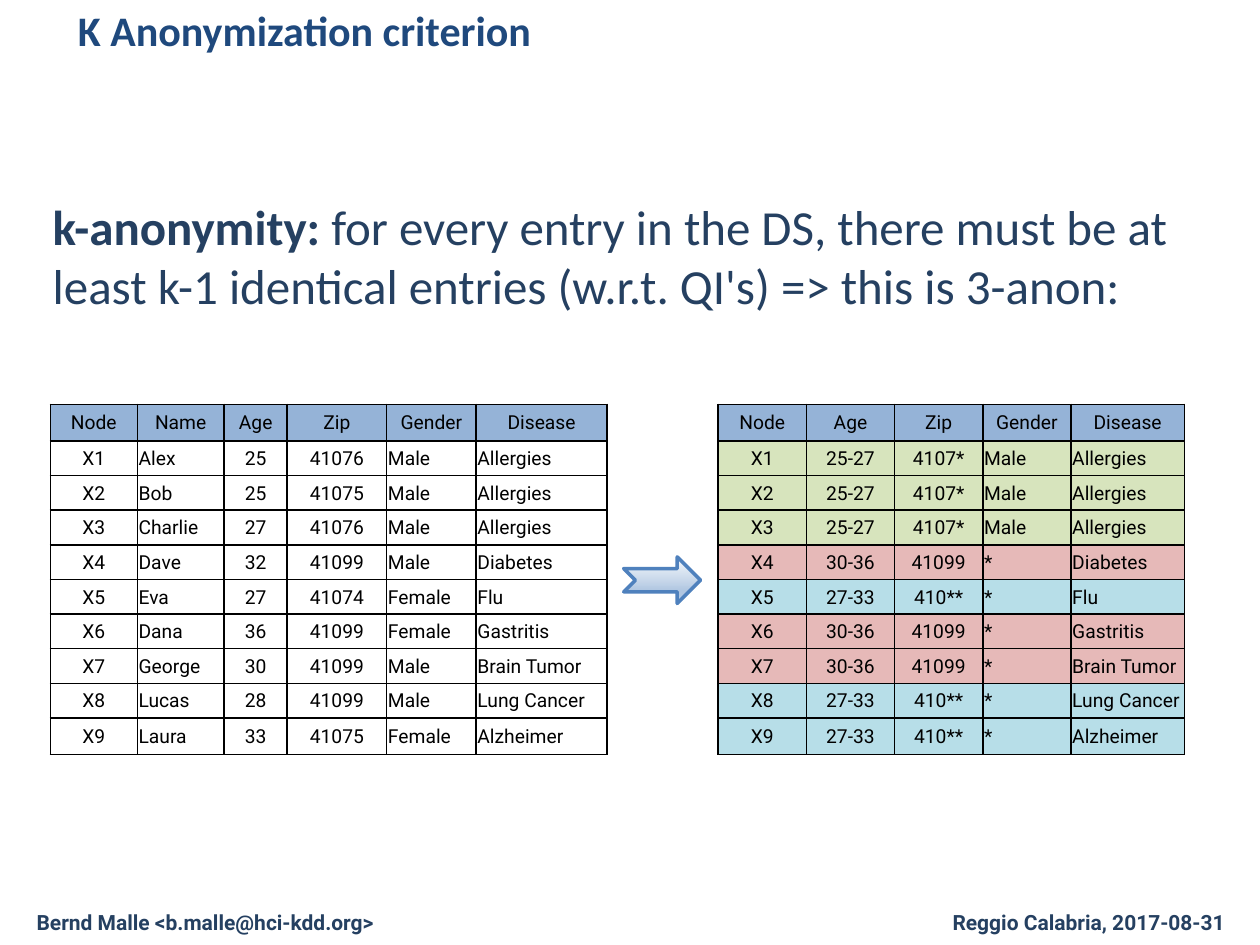
from copy import deepcopy

from lxml.etree import SubElement
from pptx import Presentation
from pptx.dml.color import RGBColor
from pptx.enum.shapes import MSO_SHAPE
from pptx.enum.text import MSO_ANCHOR, PP_ALIGN
from pptx.oxml.ns import qn
from pptx.util import Inches, Pt

COLORS = {
    "title": "1F497D", "navy": "254061", "black": "000000", "header": "95B3D7",
    "green": "D7E4BD", "red": "E6B9B8", "blue": "B7DEE8", "arrow line": "4F81BD",
}
ARROW_STOPS = [(0, "F6F9FC"), (0.74, "B0C6E1"), (0.83, "B0C6E1"), (1, "CAD9EB")]

# position, inset, wrap, font, size, color, runs as (text, bold)
TEXTS = [
    ((0.24, 7.17, 3.02, 0.3), 0.05, False, "Roboto", 12, "navy",
     [("Bernd Malle <b.malle@hci-kdd.org>", True)]),
    ((7.51, 7.17, 2.28, 0.3), 0.05, False, "Roboto", 12, "navy",
     [("Reggio Calabria, 2017-08-31", True)]),
    ((0.52, -0.01, 8.02, 0.47), 0.1, True, "Calibri", 24, "title",
     [("K Anonymization criterion", True)]),
    ((0.32, 1.51, 9.5, 1.18), 0.1, True, "Calibri", 28, "navy",
     [("k-anonymity: ", True),
      ("for every entry in the DS, there must be at least k-1 identical "
       "entries (w.r.t. QI's) => this is 3-anon:", False)]),
]

PEOPLE = [
    ("Node", "Name", "Age", "Zip", "Gender", "Disease"),
    ("X1", "Alex", "25", "41076", "Male", "Allergies"),
    ("X2", "Bob", "25", "41075", "Male", "Allergies"),
    ("X3", "Charlie", "27", "41076", "Male", "Allergies"),
    ("X4", "Dave", "32", "41099", "Male", "Diabetes"),
    ("X5", "Eva", "27", "41074", "Female", "Flu"),
    ("X6", "Dana", "36", "41099", "Female", "Gastritis"),
    ("X7", "George", "30", "41099", "Male", "Brain Tumor"),
    ("X8", "Lucas", "28", "41099", "Male", "Lung Cancer"),
    ("X9", "Laura", "33", "41075", "Female", "Alzheimer"),
]
GROUPS = {
    "green": ("25-27", "4107*", "Male"),
    "red": ("30-36", "41099", "*"),
    "blue": ("27-33", "410**", "*"),
}
MEMBERS = ["green"] * 3 + ["red", "blue", "red", "red", "blue", "blue"]
ANONYMIZED = [("Node", "Age", "Zip", "Gender", "Disease")] + [
    (person[0], *GROUPS[group], person[-1])
    for person, group in zip(PEOPLE[1:], MEMBERS)
]
LEFT_ALIGNED = {"Name", "Gender", "Disease"}
TABLE_TOP, END_ROW, INNER_ROW = 3.21, 0.29, 0.275


def rgb(name):
    """Return the named color."""
    return RGBColor.from_string(COLORS[name])


def add_span(para, text, font, size, color, bold=False):
    """Add one formatted run."""
    span = para.add_run()
    span.text = text
    span.font.name, span.font.size, span.font.bold = font, Pt(size), bold
    span.font.color.rgb = rgb(color)


def add_text(page, position, inset, wrap, font, size, color, spans):
    """Add a text box holding one paragraph."""
    frame = page.shapes.add_textbox(*map(Inches, position)).text_frame
    frame.word_wrap = wrap
    frame.margin_left = frame.margin_right = Inches(inset)
    frame.margin_top = frame.margin_bottom = Inches(0.05)
    for text, bold in spans:
        add_span(frame.paragraphs[0], text, font, size, color, bold)


def add_borders(cell):
    """Draw a thin black line on every side of a cell."""
    properties = cell._tc.get_or_add_tcPr()
    for side in ("a:lnL", "a:lnR", "a:lnT", "a:lnB"):
        line = SubElement(properties, qn(side), w=str(Pt(1)))
        fill = SubElement(line, qn("a:solidFill"))
        SubElement(fill, qn("a:srgbClr"), val=COLORS["black"])


def fill_cell(cell, text, centered, color):
    """Write and format one table cell."""
    cell.margin_left = cell.margin_right = cell.margin_top = Inches(0.01)
    cell.margin_bottom = 0
    cell.vertical_anchor = MSO_ANCHOR.MIDDLE
    add_borders(cell)
    if color:
        cell.fill.solid()
        cell.fill.fore_color.rgb = rgb(color)
    else:
        cell.fill.background()
    para = cell.text_frame.paragraphs[0]
    para.alignment = PP_ALIGN.CENTER if centered else PP_ALIGN.LEFT
    add_span(para, text, "Roboto", 11, "black")


def add_records(page, left, widths, records, row_colors):
    """Add a table of records with one color per row."""
    heights = [END_ROW] + [INNER_ROW] * (len(records) - 2) + [END_ROW]
    table = page.shapes.add_table(
        len(records), len(widths), Inches(left), Inches(TABLE_TOP),
        Inches(sum(widths)), Inches(sum(heights))).table
    table.first_row = table.horz_banding = False
    for column, width in zip(table.columns, widths):
        column.width = Inches(width)
    for index, (record, color) in enumerate(zip(records, row_colors)):
        table.rows[index].height = Inches(heights[index])
        for cell, text, heading in zip(table.rows[index].cells, record, records[0]):
            centered = index == 0 or heading not in LEFT_ALIGNED
            fill_cell(cell, text, centered, color)


def add_arrow(page):
    """Add the gradient arrow between the tables."""
    arrow = page.shapes.add_shape(
        MSO_SHAPE.NOTCHED_RIGHT_ARROW, *map(Inches, (4.95, 4.42, 0.61, 0.37)))
    arrow.shadow.inherit = False
    arrow.line.color.rgb = rgb("arrow line")
    arrow.line.width = Pt(2)
    arrow.fill.gradient()
    arrow.fill.gradient_angle = 270
    stop_list = arrow._element.spPr.find(".//" + qn("a:gsLst"))
    for stop in list(stop_list):
        stop_list.append(deepcopy(stop))
    for stop, (position, color) in zip(arrow.fill.gradient_stops, ARROW_STOPS):
        stop.position = position
        stop.color.rgb = RGBColor.from_string(color)


def main():
    """Build and save the slide."""
    deck = Presentation()
    deck.slide_width, deck.slide_height = Inches(10), Inches(7.5)
    page = deck.slides.add_slide(deck.slide_layouts[6])
    for text in TEXTS:
        add_text(page, *text)
    add_records(page, 0.4, [0.69, 0.69, 0.5, 0.79, 0.71, 1.04], PEOPLE,
                ["header"] + [None] * len(MEMBERS))
    add_records(page, 5.7, [0.7] * 4 + [0.9], ANONYMIZED, ["header"] + MEMBERS)
    add_arrow(page)
    deck.save("out.pptx")


main()
